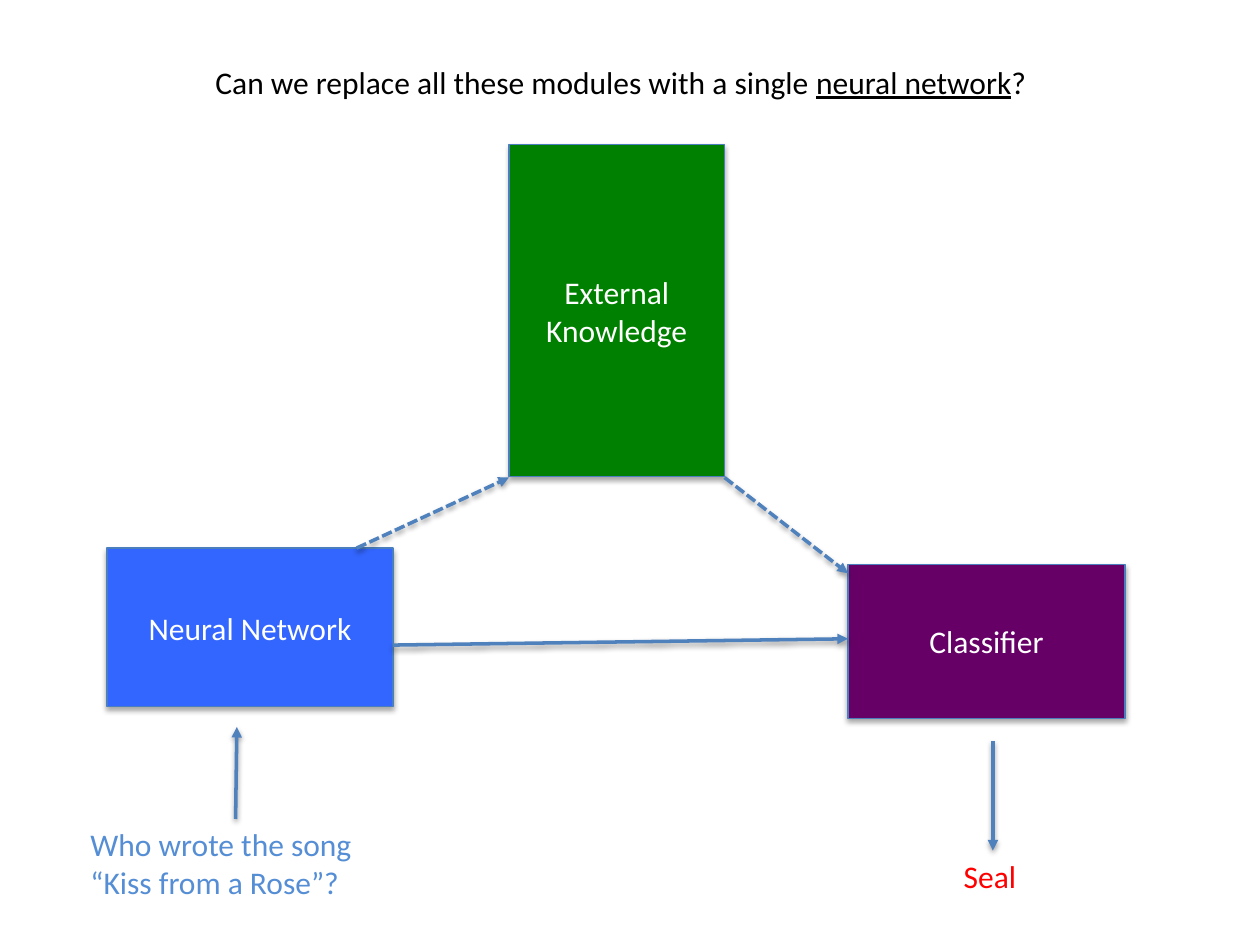
from dataclasses import dataclass
from typing import Any

from lxml.etree import SubElement
from pptx import Presentation
from pptx.dml.color import RGBColor
from pptx.enum.dml import MSO_LINE
from pptx.enum.shapes import MSO_CONNECTOR, MSO_SHAPE
from pptx.enum.text import MSO_ANCHOR, MSO_AUTO_SIZE, PP_ALIGN
from pptx.oxml.ns import qn
from pptx.util import Inches, Pt


def color(value):
    return RGBColor.from_string(value)


@dataclass
class Diagram:
    """Style and current slide, placed on a grid of 100 columns by 75 rows."""

    presentation: Any
    slide: Any
    font: str = "Calibri"
    size: int = 18
    outline: str = "4B7EBC"
    arrow_color: str = "4F81BD"

    def columns(self, count):
        return round(self.presentation.slide_width * count / 100)

    def rows(self, count):
        return round(self.presentation.slide_height * count / 75)

    def area(self, left, top, width, height):
        return self.columns(left), self.rows(top), self.columns(width), self.rows(height)

    def add_text(self, paragraph, text, text_color, underline=None):
        run = paragraph.add_run()
        run.text = text
        run.font.name = self.font
        run.font.size = Pt(self.size)
        run.font.color.rgb = color(text_color)
        run.font.underline = underline

    def shadow(self, shape, opacity, distance):
        effects = SubElement(shape.element.spPr, qn("a:effectLst"))
        outer = SubElement(
            effects, qn("a:outerShdw"), blurRad=str(Pt(3.1)),
            dist=str(Pt(distance)), dir="5400000", rotWithShape="0")
        black = SubElement(outer, qn("a:srgbClr"), val="000000")
        SubElement(black, qn("a:alpha"), val=str(opacity * 1000))

    def title(self, area, runs):
        title = self.slide.shapes.title
        title.left, title.top, title.width, title.height = self.area(*area)
        frame = title.text_frame
        frame.word_wrap = False
        frame.auto_size = MSO_AUTO_SIZE.SHAPE_TO_FIT_TEXT
        frame.vertical_anchor = MSO_ANCHOR.TOP
        paragraph = frame.paragraphs[0]
        paragraph.alignment = PP_ALIGN.LEFT
        for text, underline in runs:
            self.add_text(paragraph, text, "000000", underline)

    def label(self, area, lines, text_color, wrap=True):
        frame = self.slide.shapes.add_textbox(*self.area(*area)).text_frame
        frame.word_wrap = wrap
        frame.auto_size = MSO_AUTO_SIZE.SHAPE_TO_FIT_TEXT
        for index, line in enumerate(lines):
            paragraph = frame.add_paragraph() if index else frame.paragraphs[0]
            self.add_text(paragraph, line, text_color)

    def module(self, area, text, fill):
        shape = self.slide.shapes.add_shape(MSO_SHAPE.RECTANGLE, *self.area(*area))
        shape.fill.solid()
        shape.fill.fore_color.rgb = color(fill)
        shape.line.color.rgb = color(self.outline)
        shape.line.width = Pt(0.75)
        self.shadow(shape, 35, 1.8)
        shape.text_frame.vertical_anchor = MSO_ANCHOR.MIDDLE
        paragraph = shape.text_frame.paragraphs[0]
        paragraph.alignment = PP_ALIGN.CENTER
        self.add_text(paragraph, text, "FFFFFF")

    def arrow(self, start, end, dashed=False):
        connector = self.slide.shapes.add_connector(
            MSO_CONNECTOR.STRAIGHT, self.columns(start[0]), self.rows(start[1]),
            self.columns(end[0]), self.rows(end[1]))
        connector.line.color.rgb = color(self.arrow_color)
        connector.line.width = Pt(2)
        if dashed:
            connector.line.dash_style = MSO_LINE.SQUARE_DOT
        line = connector.element.spPr.find(qn("a:ln"))
        if dashed:
            line.find(qn("a:prstDash")).set("val", "sysDash")
        SubElement(line, qn("a:tailEnd"), type="triangle")
        self.shadow(connector, 38, 1.6)


def main():
    presentation = Presentation()
    presentation.slide_width, presentation.slide_height = Inches(10), Inches(7.5)
    slide = presentation.slides.add_slide(presentation.slide_layouts[5])
    diagram = Diagram(presentation, slide)

    diagram.title((16.1, 4.5, 67.1, 4), [
        ("Can we replace all these modules with a single ", None),
        ("neural network", True),
        ("?", None),
    ])

    diagram.module((8.5, 43.5, 22.7, 12.6), "Neural Network", "3366FF")
    diagram.module((67.3, 44.8, 22, 12.2), "Classifier", "660066")
    diagram.module((40.4, 11.5, 17.1, 26.3), "External Knowledge", "008000")

    diagram.label((6.2, 65, 25, 7.1),
                  ["Who wrote the song", "“Kiss from a Rose”?"], "558ED5")
    diagram.label((75.5, 67.5, 6.2, 4), ["Seal"], "FF0000", wrap=False)

    diagram.arrow((18.7, 65), (18.8, 57.7))
    diagram.arrow((78.8, 58.8), (78.8, 67.5))
    diagram.arrow((31.2, 51.2), (67.3, 50.7))
    diagram.arrow((28.3, 43.5), (40.4, 37.9), dashed=True)
    diagram.arrow((57.5, 37.9), (67.3, 45.5), dashed=True)

    presentation.save("out.pptx")


if __name__ == "__main__":
    main()
